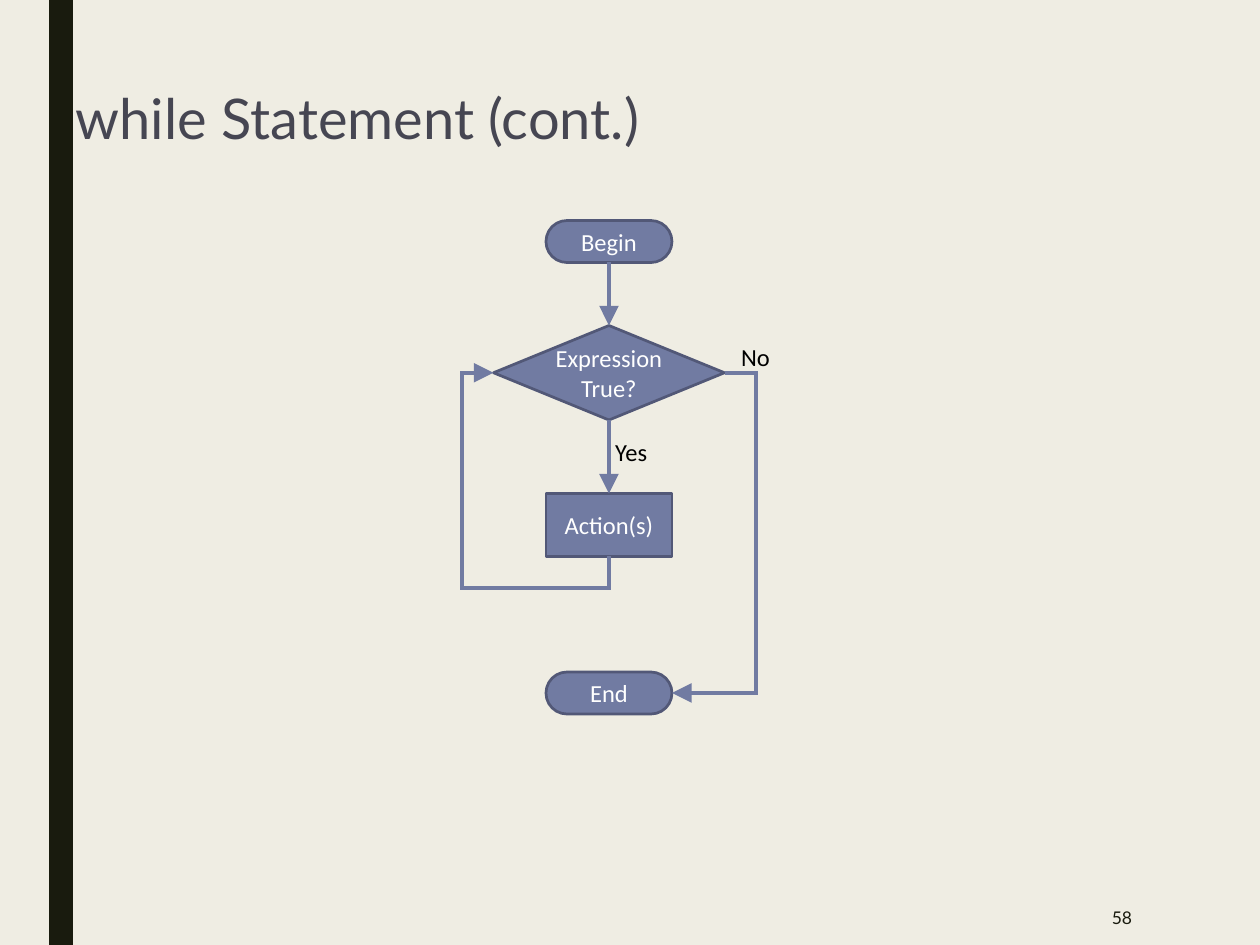
from lxml.etree import SubElement as Sub
from pptx import Presentation as Deck
from pptx.dml.color import RGBColor as RGB
from pptx.enum.shapes import MSO_CONNECTOR as Link, MSO_SHAPE as Form
from pptx.enum.text import MSO_ANCHOR as Anchor, PP_ALIGN as Align
from pptx.oxml.ns import qn
from pptx.util import Pt

CREAM = RGB(0xEF, 0xED, 0xE3)
DARK = RGB(0x19, 0x1B, 0x0E)
SLATE = RGB(0x46, 0x46, 0x52)
BLUE = RGB(0x71, 0x7B, 0xA2)
EDGE = RGB(0x52, 0x58, 0x77)
WHITE = RGB(255, 255, 255)
BLACK = RGB(0, 0, 0)


class Chart:
    def __init__(self, slide):
        self.slide = slide
        self.shapes = slide.shapes
        fill = slide.background.fill
        fill.solid()
        fill.fore_color.rgb = CREAM

    def letter(self, shape, text, size, color, face="Calibri",
               align=Align.LEFT, anchor=Anchor.TOP, wrap=False, inset=0):
        frame = shape.text_frame
        frame.word_wrap = wrap
        frame.vertical_anchor = anchor
        frame.margin_left = frame.margin_right = Pt(inset)
        frame.margin_top = frame.margin_bottom = 0
        frame.text = text
        par = frame.paragraphs[0]
        par.alignment = align
        par.space_before = 0
        par.font.size = Pt(size)
        par.font.name = face
        par.font.color.rgb = color

    def title(self, text, *box):
        shape = self.shapes.title
        shape.left, shape.top, shape.width, shape.height = map(Pt, box)
        self.letter(shape, text, 32, SLATE, "Lato", wrap=True)

    def label(self, text, *box, size=14, color=BLACK, **style):
        shape = self.shapes.add_textbox(*map(Pt, box))
        self.letter(shape, text, size, color, **style)

    def block(self, form, box, fill, edge=None):
        shape = self.shapes.add_shape(form, *map(Pt, box))
        shape.shadow.inherit = False
        shape.fill.solid()
        shape.fill.fore_color.rgb = fill
        if edge is None:
            shape.line.fill.background()
        else:
            shape.line.color.rgb = edge
            shape.line.width = Pt(1.56)
        return shape

    def node(self, form, text, mid, top, width, height):
        box = mid - width / 2, top, width, height
        shape = self.block(form, box, BLUE, EDGE)
        if form == Form.ROUNDED_RECTANGLE:
            shape.adjustments[0] = 0.5
        self.letter(shape, text, 14, WHITE, align=Align.CENTER,
                    anchor=Anchor.MIDDLE)
        return shape

    def point(self, shape):
        shape.line.color.rgb = BLUE
        shape.line.width = Pt(2.25)
        props = shape._element.spPr
        line = props.find(qn("a:ln"))
        Sub(line, qn("a:miter"), lim="800000")
        Sub(line, qn("a:tailEnd"), type="triangle", w="lg", len="lg")
        Sub(props, qn("a:effectLst"))

    def drop(self, start, end):
        arrow = self.shapes.add_connector(Link.STRAIGHT, 0, 0, 0, 0)
        arrow.begin_connect(start, 2)
        arrow.end_connect(end, 0)
        self.point(arrow)

    def bend(self, start, *rest):
        pen = self.shapes.build_freeform(*start, scale=Pt(1))
        pen.add_line_segments(rest, close=False)
        shape = pen.convert_to_shape()
        shape.fill.background()
        self.point(shape)


def main():
    deck = Deck()
    deck.slide_width, deck.slide_height = Pt(720), Pt(540)
    flow = Chart(deck.slides.add_slide(deck.slide_layouts[5]))
    flow.block(Form.RECTANGLE, (28, 0, 13.7, 540), DARK)
    flow.title("while Statement (cont.)", 43.2, 47.5, 641, 40)
    flow.label("58", 559.5, 508, 94.5, 32, size=10, color=DARK, face="Lato",
               align=Align.RIGHT, anchor=Anchor.MIDDLE, wrap=True, inset=7.2)

    mid = 348
    begin = flow.node(Form.ROUNDED_RECTANGLE, "Begin", mid, 126, 72, 24)
    flow.node(Form.ROUNDED_RECTANGLE, "End", mid, 384, 72, 24)
    test = flow.node(Form.DIAMOND, "Expression\vTrue?", mid, 186, 132, 54)
    act = flow.node(Form.RECTANGLE, "Action(s)", mid, 282, 72, 36)

    flow.drop(test, act)
    flow.bend((414, 213), (432, 213), (432, 396), (384, 396))
    flow.drop(begin, test)
    flow.bend((mid, 318), (mid, 336), (264, 336), (264, 213), (282, 213))

    flow.label("Yes", 351.5, 250, 21, 18)
    flow.label("No", 423.5, 195.5, 21, 18)
    deck.save("out.pptx")


if __name__ == "__main__":
    main()
